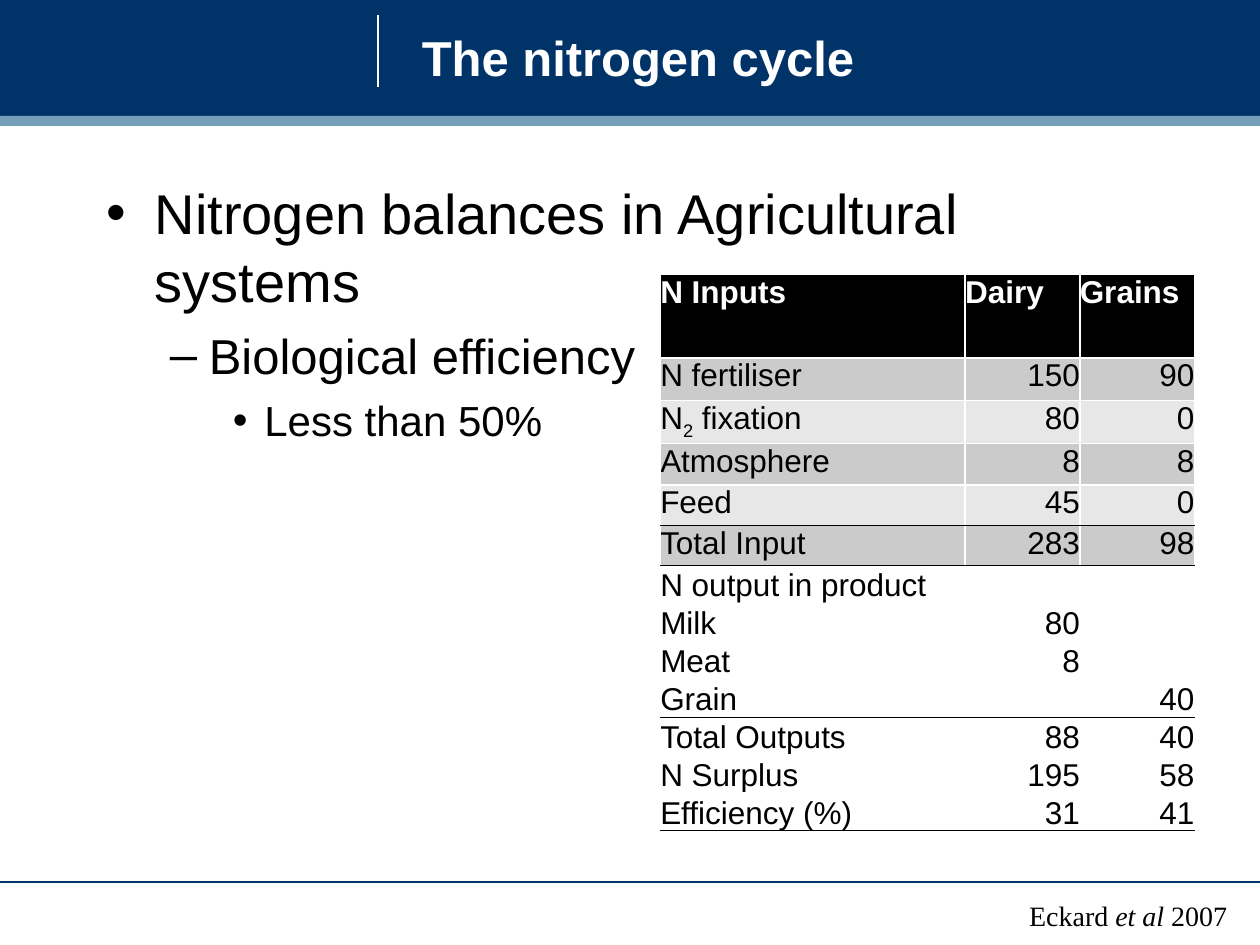
from lxml import etree
from pptx import Presentation
from pptx import util as u
from pptx.dml.color import RGBColor
from pptx.enum import shapes, text
from pptx.oxml.ns import qn

PX = 9144  # 100 px to the inch
NAVY = RGBColor(0x00, 0x33, 0x68)
STEEL = RGBColor(0x75, 0x9F, 0xB8)
WHITE = RGBColor(0xFF, 0xFF, 0xFF)
BLACK = RGBColor(0x00, 0x00, 0x00)
GREY = RGBColor(0xCB, 0xCB, 0xCB)
PALE = RGBColor(0xE7, 0xE7, 0xE7)

COLUMNS = [242, 91, 91]
ROW_HEIGHTS = [66, 34, 33, 33, 32, 32] + [28] * 7
BALANCE = [
    ("N Inputs", "Dairy", "Grains"),
    ("N fertiliser", "150", "90"),
    ("N|2| fixation", "80", "0"),
    ("Atmosphere", "8", "8"),
    ("Feed", "45", "0"),
    ("Total Input", "283", "98"),
    ("N output in product", "", ""),
    ("Milk", "80", ""),
    ("Meat", "8", ""),
    ("Grain", "", "40"),
    ("Total Outputs", "88", "40"),
    ("N Surplus", "195", "58"),
    ("Efficiency (%)", "31", "41"),
]
INPUT_ROWS = 6
RULED_BELOW = {4, 5, 9, 12}


def rule_below(row):
    """Colour and width in points of the border under a row, or None."""
    if row in RULED_BELOW:
        return BLACK, 0.5
    if row < INPUT_ROWS:
        return WHITE, 1.5 if row == 0 else 1
    return None


def set_border(cell, side, rule):
    color, width = rule
    line = etree.SubElement(cell._tc.get_or_add_tcPr(), qn(f"a:ln{side}"),
                            w=str(u.Pt(width)))
    fill = etree.SubElement(line, qn("a:solidFill"))
    etree.SubElement(fill, qn("a:srgbClr"), val=str(color))


class SlideWriter:
    def __init__(self, page, font="Arial"):
        self.page = page
        self.font = font

    def style(self, font, size, color=BLACK, bold=False, name=None):
        font.name = name or self.font
        font.size = u.Pt(size)
        font.color.rgb = color
        font.bold = bold

    def band(self, top, height, color):
        box = self.page.shapes.add_shape(shapes.MSO_SHAPE.RECTANGLE, 0, top * PX,
                                         1000 * PX, height * PX)
        box.shadow.inherit = False
        box.fill.solid()
        box.fill.fore_color.rgb = color
        box.line.fill.background()

    def line(self, x1, y1, x2, y2, color):
        line = self.page.shapes.add_connector(
            shapes.MSO_CONNECTOR.STRAIGHT, x1 * PX, y1 * PX, x2 * PX, y2 * PX)
        line.line.color.rgb = color
        line.line.width = u.Pt(0.75)
        etree.SubElement(line._element.spPr, qn("a:effectLst"))

    def text_frame(self, left, top, width, height, anchor=text.MSO_ANCHOR.TOP):
        box = self.page.shapes.add_textbox(left * PX, top * PX, width * PX, height * PX)
        frame = box.text_frame
        frame.word_wrap = True
        frame.vertical_anchor = anchor
        return frame

    def title(self, wording):
        frame = self.text_frame(325, 8, 633, 75, text.MSO_ANCHOR.MIDDLE)
        frame.text = wording
        self.style(frame.paragraphs[0].runs[0].font, 28, WHITE, bold=True)

    def bullets(self, items):
        """Items are (wording, mark, size, indent, hanging, space before)."""
        frame = self.text_frame(75, 137, 850, 529)
        frame.text = "\n".join(item[0] for item in items)
        for level, (para, item) in enumerate(zip(frame.paragraphs, items)):
            _, mark, size, indent, hanging, before = item
            para.level = level
            props = para._p.get_or_add_pPr()
            props.set("marL", str(indent * PX))
            props.set("indent", str(-hanging * PX))
            etree.SubElement(props, qn("a:buFont"), typeface=self.font)
            etree.SubElement(props, qn("a:buChar"), char=mark)
            para.space_before = u.Pt(before)
            self.style(para.runs[0].font, size)

    def citation(self, parts):
        """Every second part is set in italics."""
        para = self.text_frame(807, 708, 189, 37).paragraphs[0]
        for index, part in enumerate(parts):
            span = para.add_run()
            span.text = part
            self.style(span.font, 16, name="Times New Roman")
            span.font.italic = index % 2 == 1

    def table(self, left, top):
        frame = self.page.shapes.add_table(
            len(BALANCE), len(COLUMNS), left * PX, top * PX,
            sum(COLUMNS) * PX, sum(ROW_HEIGHTS) * PX)
        table = frame.table
        table.first_row = table.horz_banding = False
        for column, width in zip(table.columns, COLUMNS):
            column.width = width * PX
        for row, (height, values) in enumerate(zip(ROW_HEIGHTS, BALANCE)):
            table.rows[row].height = height * PX
            for column, value in enumerate(values):
                self.cell(table.cell(row, column), row, column, value)

    def cell(self, cell, row, column, value):
        is_input = row < INPUT_ROWS
        side_rule = (WHITE, 1) if is_input else None
        top_rule = rule_below(row - 1) if row else (WHITE, 1)
        for side, rule in zip("LRTB", (side_rule, side_rule, top_rule, rule_below(row))):
            if rule:
                set_border(cell, side, rule)
        cell.margin_left = cell.margin_right = cell.margin_top = cell.margin_bottom = 0
        if is_input:
            cell.fill.solid()
            cell.fill.fore_color.rgb = BLACK if row == 0 else GREY if row % 2 else PALE
        else:
            cell.fill.background()
            cell.vertical_anchor = text.MSO_ANCHOR.BOTTOM
        para = cell.text_frame.paragraphs[0]
        if not value:
            para.font.size = u.Pt(18)
            return
        if row and column:
            para.alignment = text.PP_ALIGN.RIGHT
        for index, part in enumerate(value.split("|")):
            span = para.add_run()
            span.text = part
            self.style(span.font, 18, BLACK if row else WHITE, bold=row == 0)
            if index == 1:
                span._r.get_or_add_rPr().set("baseline", "-25000")


def main():
    deck = Presentation()
    deck.slide_width = 1000 * PX
    deck.slide_height = 750 * PX
    writer = SlideWriter(deck.slides.add_slide(deck.slide_layouts[6]))
    writer.band(0, 92, NAVY)
    writer.line(300, 12, 300, 69, WHITE)
    writer.line(0, 700, 1000, 700, NAVY)
    writer.band(92, 8, STEEL)
    writer.title("The nitrogen cycle")
    writer.bullets([
        ("Nitrogen balances in Agricultural systems", "•", 32, 38, 38, 0),
        ("Biological efficiency", "–", 28, 81, 31, 7),
        ("Less than 50%", "•", 24, 125, 25, 6),
    ])
    writer.table(524, 218)
    writer.citation(["Eckard ", "et al ", "2007"])
    deck.save("out.pptx")


if __name__ == "__main__":
    main()
